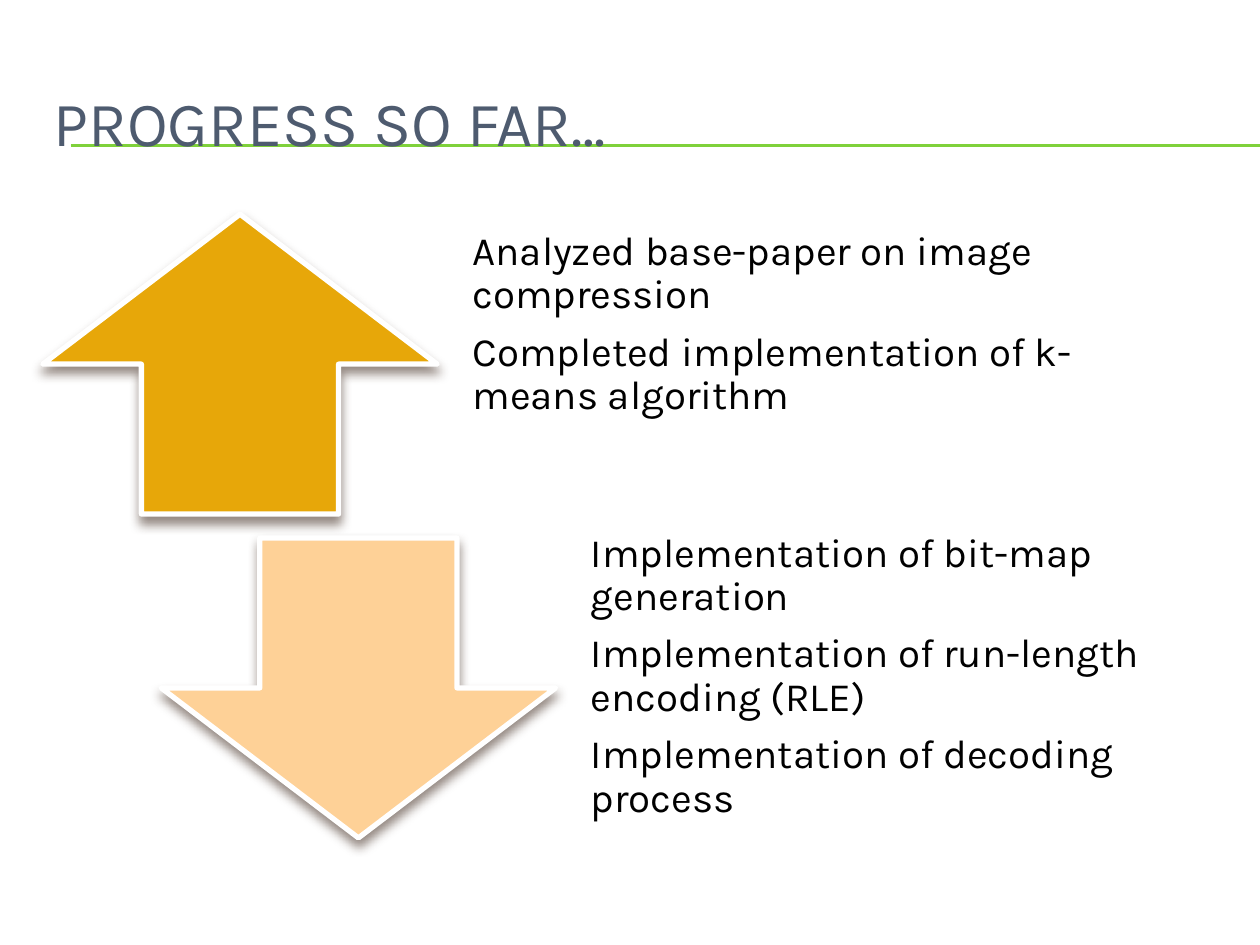
from lxml import etree
from pptx import Presentation
from pptx import util as u
from pptx.dml.color import RGBColor
from pptx.enum import shapes, text
from pptx.oxml import ns

Inches, Pt = u.Inches, u.Pt
ARROW_SIZE = (3.13, 2.38)
TEXT_SIZE = (5.32, 2.38)
TEXT_OFFSET = 3.23


def color(value):
    return RGBColor.from_string(value)


def set_values(target, values):
    for name, value in values.items():
        setattr(target, name, value)


def add_effect(parent, tag, **attributes):
    return etree.SubElement(parent, ns.qn(tag), attributes)


def add_rule(slide, top):
    rule = slide.shapes.add_connector(
        shapes.MSO_CONNECTOR.STRAIGHT,
        Inches(0.56), Inches(top), Inches(10), Inches(top))
    rule.line.color.rgb = color("7FD13B")
    rule.line.width = Pt(0.75)
    add_effect(rule._element.spPr, "a:effectLst")


def add_text(slide, left, top, size, lines, font, frame_values, spacing):
    box = slide.shapes.add_textbox(
        Inches(left), Inches(top), *map(Inches, size))
    frame = box.text_frame
    set_values(frame, {"word_wrap": True,
                       "vertical_anchor": text.MSO_ANCHOR.MIDDLE,
                       **frame_values})
    frame.text = "\n".join(lines)
    for paragraph in frame.paragraphs:
        set_values(paragraph, spacing)
        run = paragraph.runs[0]
        set_values(run.font, {"name": "Karla", "size": Pt(font["size"])})
        run.font.color.rgb = color(font["color"])


def add_arrow(slide, kind, left, top, fill):
    arrow = slide.shapes.add_shape(
        kind, Inches(left), Inches(top), *map(Inches, ARROW_SIZE))
    arrow.fill.solid()
    arrow.fill.fore_color.rgb = color(fill)
    arrow.line.color.rgb = color("FFFFFF")
    arrow.line.width = Pt(3)
    arrow.shadow.inherit = False
    effects = arrow._element.spPr.find(ns.qn("a:effectLst"))
    shadow = add_effect(effects, "a:outerShdw", blurRad=str(Pt(6)),
                        dist=str(Pt(4)), dir="5400000", rotWithShape="0")
    shade = add_effect(shadow, "a:srgbClr", val="4E3B30")
    add_effect(shade, "a:alpha", val="60000")


def add_stage(slide, kind, left, top, fill, lines, bottom_inset):
    add_arrow(slide, kind, left, top, fill)
    insets = {"margin_left": Inches(0.18), "margin_top": 0,
              "margin_right": Inches(0.18),
              "margin_bottom": Inches(bottom_inset)}
    add_text(slide, left + TEXT_OFFSET, top, TEXT_SIZE, lines,
             {"size": 23, "color": "000000"}, insets,
             {"line_spacing": 0.9, "space_after": Pt(8)})


def main():
    presentation = Presentation()
    set_values(presentation, {"slide_width": Inches(10),
                              "slide_height": Inches(7.5)})
    slide = presentation.slides.add_slide(presentation.slide_layouts[6])
    for top in (1.15, 1.16):
        add_rule(slide, top)
    add_text(slide, 0.33, 0.5, (9.5, 0.92), ["PROGRESS SO FAR…"],
             {"size": 36, "color": "4E5B6F"}, {}, {})
    add_stage(slide, shapes.MSO_SHAPE.UP_ARROW, 0.34, 1.7, "E7A709",
              ["Analyzed base-paper on image compression",
               "Completed implementation of k-means algorithm"], 0.63)
    add_stage(slide, shapes.MSO_SHAPE.DOWN_ARROW, 1.28, 4.27, "FED197",
              ["Implementation of bit-map generation",
               "Implementation of run-length encoding (RLE)",
               "Implementation of decoding process"], 0.18)
    presentation.save("out.pptx")


if __name__ == "__main__":
    main()
